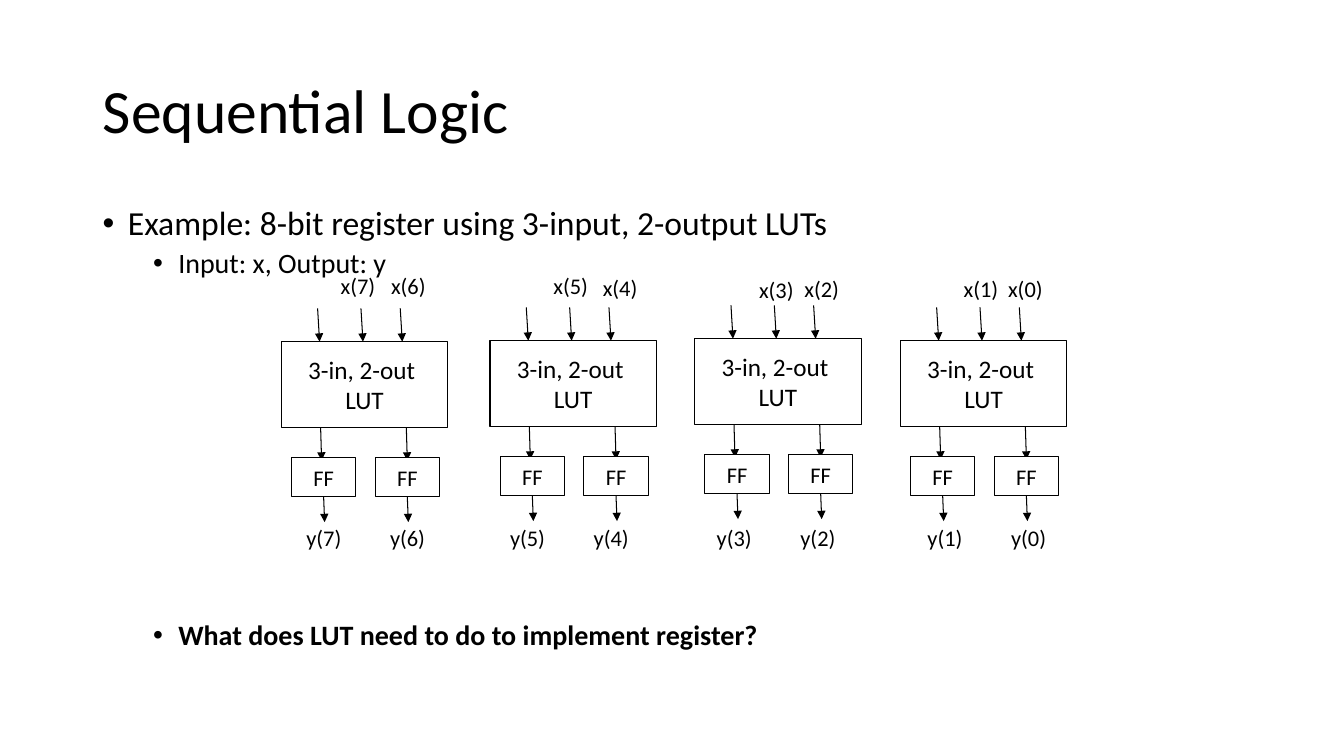
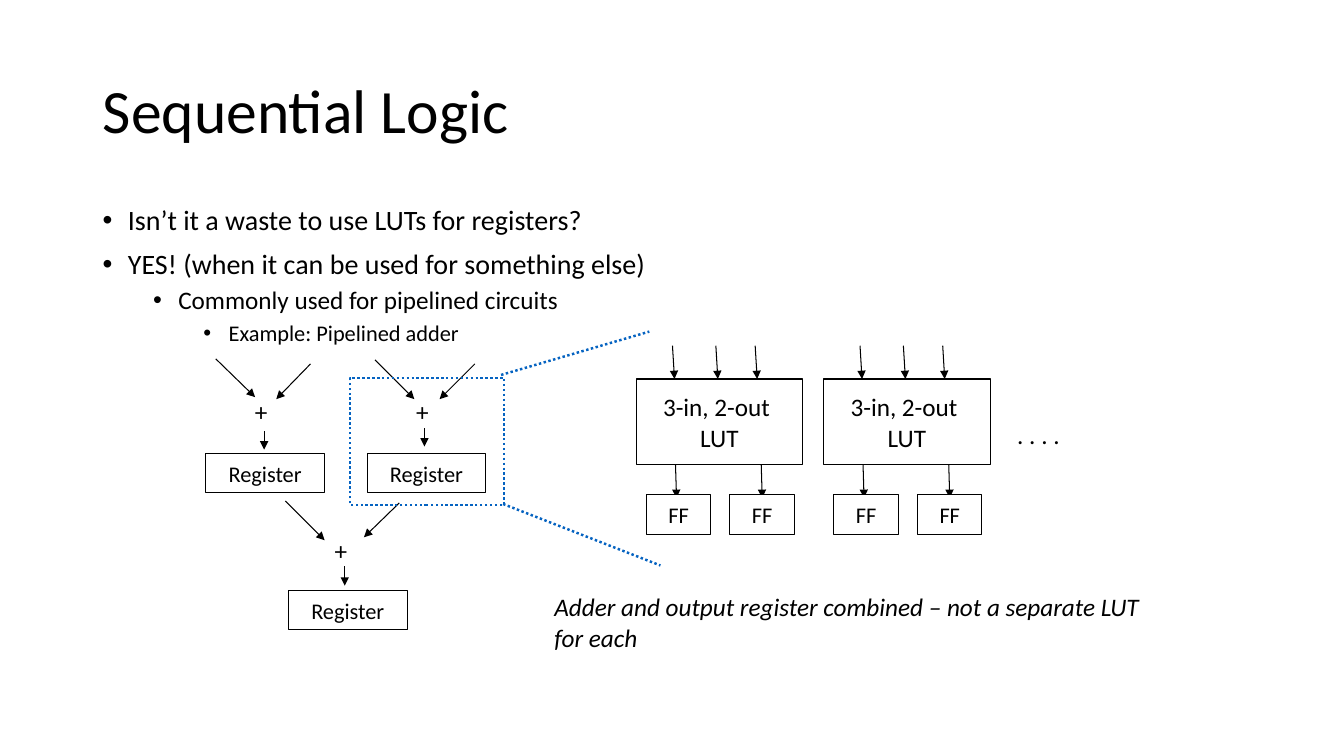
from dataclasses import dataclass

from lxml.etree import SubElement
from pptx import Presentation
from pptx.dml.color import RGBColor
from pptx.enum.dml import MSO_LINE
from pptx.enum.shapes import MSO_CONNECTOR, MSO_SHAPE
from pptx.enum.text import MSO_ANCHOR, MSO_AUTO_SIZE, PP_ALIGN
from pptx.oxml.ns import qn
from pptx.util import Inches, Pt

FONT = "Calibri"
BLACK = "000000"
WHITE = "FFFFFF"
BLUE = "0563C1"
FF_SIZE = (0.64, 0.39)
LUT_SIZE = (1.65, 0.85)
REGISTER_SIZE = (1.18, 0.39)
FF_OFFSETS = (0.1, 0.93)


@dataclass(frozen=True)
class Bullet:
    text: str
    size: int
    level: int = 0
    before: int = 5
    bold: bool = False


@dataclass(frozen=True)
class Label:
    text: str
    x: float
    y: float


@dataclass(frozen=True)
class LutBlock:
    x: float
    y: float


@dataclass(frozen=True)
class Arrow:
    x1: float
    y1: float
    x2: float
    y2: float


REGISTER_BULLETS = (
    Bullet("Example: 8-bit register using 3-input, 2-output LUTs", 24, before=0),
    Bullet("Input: x, Output: y", 20, 1),
    Bullet("What does LUT need to do to implement register?", 20, 1, 244, True),
)
REGISTER_BLOCKS = (
    LutBlock(2.79, 3.39), LutBlock(4.86, 3.38), LutBlock(6.89, 3.36), LutBlock(8.93, 3.38),
)
INPUT_LABELS = (
    Label("x(7)", 3.28, 2.65), Label("x(6)", 3.78, 2.65),
    Label("x(5)", 5.39, 2.65), Label("x(4)", 5.88, 2.67),
    Label("x(3)", 7.43, 2.69), Label("x(2)", 7.88, 2.68),
    Label("x(1)", 9.46, 2.68), Label("x(0)", 9.9, 2.68),
)
OUTPUT_PAIR_LEFTS = (2.94, 4.96, 7.01, 9.1)

PIPELINE_BULLETS = (
    Bullet("Isn’t it a waste to use LUTs for registers?", 20, before=0),
    Bullet("YES! (when it can be used for something else)", 20, before=10),
    Bullet("Commonly used for pipelined circuits", 18, 1),
    Bullet("Example: Pipelined adder", 16, 2),
)
PIPELINE_BLOCKS = (LutBlock(6.31, 3.76), LutBlock(8.17, 3.76))
PLUS_SIGNS = (Label("+", 2.43, 3.88), Label("+", 4.03, 3.88), Label("+", 3.22, 5.26))
REGISTERS = (
    Label("Register", 2.04, 4.5), Label("Register", 3.64, 4.5), Label("Register", 2.86, 5.86),
)
ADDER_ARROWS = (
    Arrow(2.14, 3.56, 2.53, 3.94), Arrow(3.08, 3.61, 2.74, 3.96), Arrow(2.62, 4.28, 2.62, 4.46),
    Arrow(3.72, 3.57, 4.11, 3.96), Arrow(4.71, 3.61, 4.36, 3.96), Arrow(4.21, 4.25, 4.21, 4.43),
    Arrow(2.83, 4.97, 3.22, 5.36), Arrow(3.96, 4.99, 3.61, 5.33), Arrow(3.42, 5.62, 3.42, 5.81),
)
ZOOM_LINES = (Arrow(4.97, 3.72, 6.44, 3.29), Arrow(4.99, 5, 6.55, 5.61))


def color(value: str) -> RGBColor:
    return RGBColor.from_string(value)


def add_text(para, text: str, *, size: float, bold: bool = False, italic: bool = False,
             align=PP_ALIGN.LEFT) -> None:
    para.alignment = align
    span = para.add_run()
    span.text = text
    span.font.name = FONT
    span.font.size = Pt(size)
    span.font.bold = bold
    span.font.italic = italic
    span.font.color.rgb = color(BLACK)


def add_textbox(page, x: float, y: float, width: float, height: float):
    box = page.shapes.add_textbox(Inches(x), Inches(y), Inches(width), Inches(height))
    box.text_frame.word_wrap = True
    return box


def add_label(page, label: Label, width: float, height: float, size: float,
              italic: bool = False) -> None:
    box = add_textbox(page, label.x, label.y, width, height)
    add_text(box.text_frame.paragraphs[0], label.text, size=size, italic=italic)


def add_rectangle(page, x: float, y: float, size: tuple[float, float], lines: tuple[str, ...],
                  *, font_size: float = 16, fill: str | None = WHITE):
    width, height = size
    box = page.shapes.add_shape(
        MSO_SHAPE.RECTANGLE, Inches(x), Inches(y), Inches(width), Inches(height))
    box.shadow.inherit = False
    if fill:
        box.fill.solid()
        box.fill.fore_color.rgb = color(fill)
    else:
        box.fill.background()
    box.line.color.rgb = color(BLACK)
    box.line.width = Pt(0.75)
    frame = box.text_frame
    frame.word_wrap = False
    frame.vertical_anchor = MSO_ANCHOR.MIDDLE
    for index, text in enumerate(lines):
        para = frame.add_paragraph() if index else frame.paragraphs[0]
        add_text(para, text, size=font_size, align=PP_ALIGN.CENTER)
    return box


def make_dotted(line) -> None:
    line.color.rgb = color(BLUE)
    line.width = Pt(1.75)
    line.dash_style = MSO_LINE.ROUND_DOT


def add_line(page, x1: float, y1: float, x2: float, y2: float):
    connector = page.shapes.add_connector(
        MSO_CONNECTOR.STRAIGHT, Inches(x1), Inches(y1), Inches(x2), Inches(y2))
    SubElement(connector._element.spPr, qn("a:effectLst"))
    return connector


def add_arrow(page, x1: float, y1: float, x2: float, y2: float):
    connector = add_line(page, x1, y1, x2, y2)
    connector.line.color.rgb = color(BLACK)
    connector.line.width = Pt(0.75)
    SubElement(connector.line._get_or_add_ln(), qn("a:tailEnd"), type="triangle")
    return connector


def add_lut_block(page, block: LutBlock) -> list:
    x, y = block.x, block.y
    add_rectangle(page, x, y, LUT_SIZE, ("3-in, 2-out ", "LUT"), font_size=18, fill=None)
    for offset in (0.36, 0.79, 1.18):
        add_arrow(page, x + offset, y - 0.33, x + offset + 0.02, y)
    for offset in (0.39, 1.24):
        add_arrow(page, x + offset, y + 0.85, x + offset + 0.01, y + 1.18)
    return [add_rectangle(page, x + offset, y + 1.15, FF_SIZE, ("FF",))
            for offset in FF_OFFSETS]


def add_bullets(page, bullets: tuple[Bullet, ...]) -> None:
    frame = add_textbox(page, 0.92, 2, 11.5, 4.76).text_frame
    for index, bullet in enumerate(bullets):
        para = frame.add_paragraph() if index else frame.paragraphs[0]
        para.level = bullet.level
        para.line_spacing = 0.9
        if bullet.before:
            para.space_before = Pt(bullet.before)
        properties = para._p.get_or_add_pPr()
        properties.set("marL", str(Inches(0.25 + 0.5 * bullet.level)))
        properties.set("indent", str(Inches(-0.25)))
        SubElement(properties, qn("a:buFont"), typeface="Arial")
        SubElement(properties, qn("a:buChar"), char="•")
        add_text(para, bullet.text, size=bullet.size, bold=bullet.bold)


def add_page(deck, bullets: tuple[Bullet, ...]):
    page = deck.slides.add_slide(deck.slide_layouts[5])
    title = page.shapes.title
    title.left, title.top = Inches(0.92), Inches(0.4)
    title.width, title.height = Inches(11.5), Inches(1.45)
    frame = title.text_frame
    frame.auto_size = MSO_AUTO_SIZE.NONE
    frame.vertical_anchor = MSO_ANCHOR.MIDDLE
    para = frame.paragraphs[0]
    para.line_spacing = 0.9
    add_text(para, "Sequential Logic", size=44)
    add_bullets(page, bullets)
    return page


def build_register_page(deck) -> None:
    page = add_page(deck, REGISTER_BULLETS)
    for block in REGISTER_BLOCKS:
        for flip_flop, offset in zip(add_lut_block(page, block), FF_OFFSETS):
            center = block.x + offset + FF_SIZE[0] / 2
            arrow = add_arrow(page, center, block.y + 1.54, center + 0.01, block.y + 1.79)
            arrow.begin_connect(flip_flop, 2)
    for label in INPUT_LABELS:
        add_label(page, label, 0.69, 0.37, 16)
    for pair, left in enumerate(OUTPUT_PAIR_LEFTS):
        for side in range(2):
            label = Label(f"y({7 - 2 * pair - side})", left + 0.83 * side, 5.15)
            add_label(page, label, 0.69, 0.37, 16)


def build_pipeline_page(deck) -> None:
    page = add_page(deck, PIPELINE_BULLETS)
    for block in PIPELINE_BLOCKS:
        add_lut_block(page, block)
    for sign in PLUS_SIGNS:
        add_label(page, sign, 0.57, 0.4, 18)
    for register in REGISTERS:
        add_rectangle(page, register.x, register.y, REGISTER_SIZE, (register.text,))
    for arrow in ADDER_ARROWS:
        add_arrow(page, arrow.x1, arrow.y1, arrow.x2, arrow.y2)
    highlight = add_rectangle(page, 3.47, 3.75, (1.53, 1.26), (), fill=None)
    make_dotted(highlight.line)
    for line in ZOOM_LINES:
        make_dotted(add_line(page, line.x1, line.y1, line.x2, line.y2).line)
    add_label(page, Label(". . . .", 9.99, 4.11), 1.32, 0.4, 18)
    caption = "Adder and output register combined – not a separate LUT for each"
    add_label(page, Label(caption, 5.4, 5.82), 6, 0.71, 18, italic=True)


def main() -> None:
    deck = Presentation()
    deck.slide_width, deck.slide_height = Inches(13.33), Inches(7.5)
    build_register_page(deck)
    build_pipeline_page(deck)
    deck.save("out.pptx")


if __name__ == "__main__":
    main()
